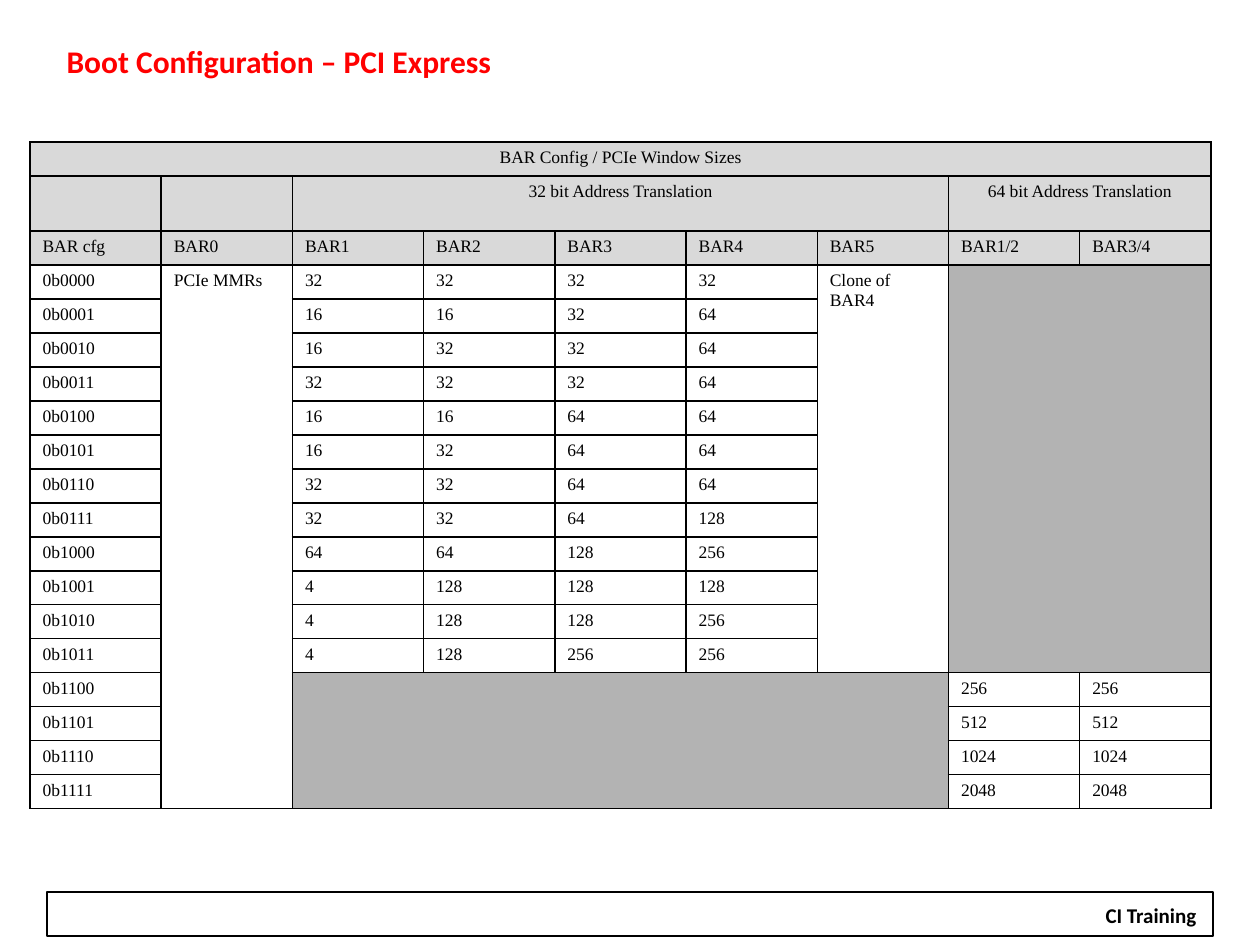
from dataclasses import dataclass

from lxml import etree
from pptx import Presentation
from pptx.dml.color import RGBColor
from pptx.enum.shapes import MSO_SHAPE
from pptx.enum.text import MSO_ANCHOR, MSO_AUTO_SIZE, PP_ALIGN
from pptx.oxml.ns import qn
from pptx.util import Emu, Pt

RECT = MSO_SHAPE.RECTANGLE
MIDDLE = MSO_ANCHOR.MIDDLE
NO_FIT = MSO_AUTO_SIZE.NONE
LEFT, CENTER = PP_ALIGN.LEFT, PP_ALIGN.CENTER


@dataclass(frozen=True)
class Theme:
    black: RGBColor = RGBColor(0, 0, 0)
    white: RGBColor = RGBColor(255, 255, 255)
    title: RGBColor = RGBColor(255, 0, 0)
    header: RGBColor = RGBColor(0xD9, 0xD9, 0xD9)
    unused: RGBColor = RGBColor(0xB3, 0xB3, 0xB3)
    sans: str = "Calibri"
    serif: str = "Times New Roman"
    title_size: Pt = Pt(18)
    footer_size: Pt = Pt(12)
    cell_size: Pt = Pt(10)
    border: Pt = Pt(1)


theme = Theme()


def px(n):
    """Convert pixels, 126 to the inch, to EMU."""
    return Emu(round(n * 914400 / 126))


def style(p, name, size, color, bold=False, align=LEFT):
    p.alignment = align
    p.font.name, p.font.size, p.font.bold = name, size, bold
    p.font.color.rgb = color


prs = Presentation()
prs.slide_width, prs.slide_height = px(1260), px(945)
s = prs.slides.add_slide(prs.slide_layouts[5])

# Title
title = s.shapes.title
title.left, title.top, title.width, title.height = px(54), px(36), px(1115), px(50)
tf = title.text_frame
tf.text = "Boot Configuration – PCI Express"
tf.auto_size = NO_FIT
tf.vertical_anchor = MIDDLE
style(tf.paragraphs[0], theme.sans, theme.title_size, theme.title, bold=True)

# Footer
bar = s.shapes.add_shape(RECT, px(47), px(892), px(1166), px(44))
bar.shadow.inherit = False
bar.fill.background()
bar.line.color.rgb = theme.black
bar.line.width = Pt(0.75)
label = s.shapes.add_textbox(px(1092), px(896), px(118), px(38))
label.fill.solid()
label.fill.fore_color.rgb = theme.white
tf = label.text_frame
tf.word_wrap = False
tf.text = "CI Training"
style(tf.paragraphs[0], theme.sans, theme.footer_size, theme.black, bold=True, align=CENTER)

# Table contents
HEADER_ROWS = 3
BAR_NAMES = ["BAR cfg", "BAR0", "BAR1", "BAR2", "BAR3", "BAR4", "BAR5", "BAR1/2", "BAR3/4"]
SIZES_32 = [  # BAR1 to BAR4
    (32, 32, 32, 32), (16, 16, 32, 64), (16, 32, 32, 64), (32, 32, 32, 64),
    (16, 16, 64, 64), (16, 32, 64, 64), (32, 32, 64, 64), (32, 32, 64, 128),
    (64, 64, 128, 256), (4, 128, 128, 128), (4, 128, 128, 256), (4, 128, 256, 256),
]
SIZES_64 = [256, 512, 1024, 2048]  # the same for BAR1/2 and BAR3/4
first_64 = HEADER_ROWS + len(SIZES_32)
n_rows, n_cols = first_64 + len(SIZES_64), len(BAR_NAMES)
last_row, last_col = n_rows - 1, n_cols - 1

texts = {
    (0, 0): "BAR Config / PCIe Window Sizes",
    (1, 2): "32 bit Address Translation",
    (1, 7): "64 bit Address Translation",
    (3, 1): "PCIe MMRs",
    (3, 6): "Clone of BAR4",
}
for c, name in enumerate(BAR_NAMES):
    texts[2, c] = name
for r in range(HEADER_ROWS, n_rows):
    texts[r, 0] = f"0b{r - HEADER_ROWS:04b}"
for r, sizes in enumerate(SIZES_32, HEADER_ROWS):
    for c, size in enumerate(sizes, 2):
        texts[r, c] = str(size)
for r, size in enumerate(SIZES_64, first_64):
    texts[r, 7] = texts[r, 8] = str(size)

unused = [(HEADER_ROWS, 7, first_64 - 1, last_col), (first_64, 2, last_row, 6)]
merges = unused + [
    (0, 0, 0, last_col), (1, 2, 1, 6), (1, 7, 1, last_col),
    (HEADER_ROWS, 1, last_row, 1), (HEADER_ROWS, 6, first_64 - 1, 6),
]

# Table
ROW_H, GROUP_ROW_H = 34, 55
table_h = ROW_H * (n_rows - 1) + GROUP_ROW_H
table = s.shapes.add_table(n_rows, n_cols, px(30), px(142), px(1181), px(table_h)).table
table.first_row = table.horz_banding = False
for r, row in enumerate(table.rows):
    row.height = px(GROUP_ROW_H if r == 1 else ROW_H)

for r in range(n_rows):
    for c in range(n_cols):
        cell = table.cell(r, c)
        tcPr = cell._tc.get_or_add_tcPr()
        for side in ("a:lnL", "a:lnR", "a:lnT", "a:lnB"):
            ln = etree.SubElement(tcPr, qn(side), w=str(theme.border))
            fill = etree.SubElement(ln, qn("a:solidFill"))
            etree.SubElement(fill, qn("a:srgbClr"), val=str(theme.black))
        if r < HEADER_ROWS:
            cell.fill.solid()
            cell.fill.fore_color.rgb = theme.header
        elif any(top <= r <= bottom and left <= c <= right for top, left, bottom, right in unused):
            cell.fill.solid()
            cell.fill.fore_color.rgb = theme.unused
        else:
            cell.fill.background()
        p = cell.text_frame.paragraphs[0]
        if (r, c) in texts:
            p.text = texts[r, c]
        else:  # keeps an empty cell from stretching its row
            etree.SubElement(p._p, qn("a:endParaRPr"), sz=str(int(theme.cell_size.pt * 100)))
        style(p, theme.serif, theme.cell_size, theme.black, align=CENTER if r < 2 else LEFT)

for top, left, bottom, right in merges:
    table.cell(top, left).merge(table.cell(bottom, right))

prs.save("out.pptx")
